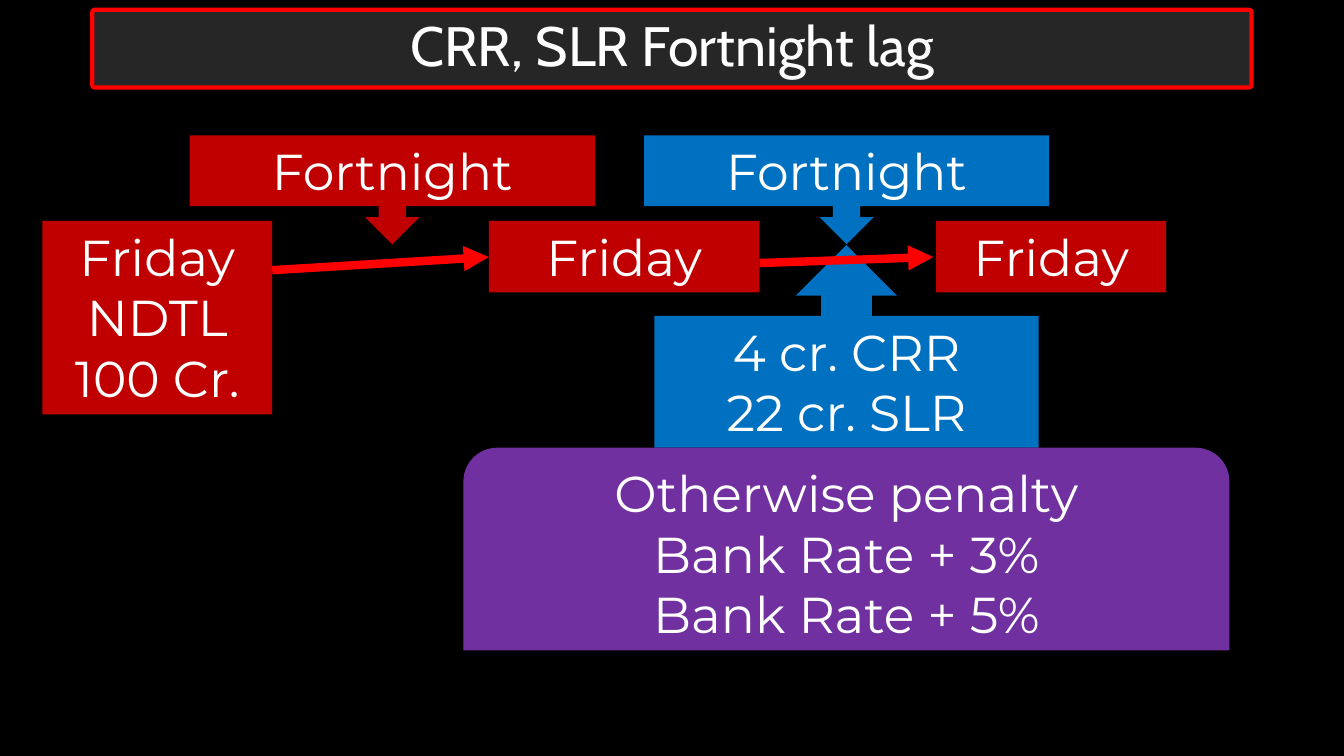
from dataclasses import dataclass

from lxml import etree
from pptx import Presentation
from pptx import util as u
from pptx.dml.color import RGBColor
from pptx.enum import shapes, text
from pptx.oxml.ns import qn

Kind = shapes.MSO_SHAPE


@dataclass(frozen=True)
class Theme:
    back: str = "000000"
    ink: str = "FFFFFF"
    bar: str = "262626"
    edge: str = "FF0000"
    red: str = "C00000"
    blue: str = "0070C0"
    plum: str = "7030A0"
    head: str = "Cabin"
    body: str = "Montserrat"
    big: float = 39.6
    norm: float = 36


class Board:
    """Holds the theme and the current slide; all lengths are points."""

    def __init__(self, deck, theme):
        self.theme = theme
        self.slide = deck.slides.add_slide(deck.slide_layouts[6])
        fill = self.slide.background.fill
        fill.solid()
        fill.fore_color.rgb = RGBColor.from_string(theme.back)

    def label(self, frame, lines, font, size):
        frame.word_wrap = True
        for i, line in enumerate(lines):
            para = frame.add_paragraph() if i else frame.paragraphs[0]
            para.alignment = text.PP_ALIGN.CENTER
            run = para.add_run()
            run.text = line
            run.font.name = font
            run.font.size = u.Pt(size)
            run.font.color.rgb = RGBColor.from_string(self.theme.ink)

    def shape(self, kind, area, fill):
        item = self.slide.shapes.add_shape(kind, *map(u.Pt, area))
        item.shadow.inherit = False
        item.fill.solid()
        item.fill.fore_color.rgb = RGBColor.from_string(fill)
        item.line.fill.background()
        return item

    def title(self, area, line):
        look = self.theme
        item = self.shape(Kind.ROUNDED_RECTANGLE, area, look.bar)
        item.adjustments[0] = 0.03
        item.line.color.rgb = RGBColor.from_string(look.edge)
        item.line.width = u.Pt(3)
        frame = item.text_frame
        frame.vertical_anchor = text.MSO_ANCHOR.MIDDLE
        self.label(frame, [line], look.head, look.big)
        frame.paragraphs[0].line_spacing = 0.9

    def box(self, kind, area, fill, *lines):
        frame = self.shape(kind, area, fill).text_frame
        frame.vertical_anchor = text.MSO_ANCHOR.TOP
        self.label(frame, lines, self.theme.body, self.theme.norm)

    def arrow(self, *ends):
        item = self.slide.shapes.add_connector(
            shapes.MSO_CONNECTOR.STRAIGHT, *map(u.Pt, ends))
        item.line.color.rgb = RGBColor.from_string(self.theme.edge)
        item.line.width = u.Pt(6)
        props = item._element.spPr
        etree.SubElement(props.find(qn("a:ln")), qn("a:tailEnd"), type="triangle")
        etree.SubElement(props, qn("a:effectLst"))


def main():
    deck = Presentation()
    deck.slide_width, deck.slide_height = u.Pt(960), u.Pt(540)
    look = Theme()
    board = Board(deck, look)

    # Title bar
    board.title((66, 7, 828, 55.5), "CRR, SLR Fortnight lag")

    # Three Fridays on the time line
    top, row = 157.8, 51.1
    board.box(Kind.RECTANGLE, (30.2, top, 164.2, 138.2), look.red,
              "Friday", "NDTL", "100 Cr.")
    for left, width in ((349.2, 193.2), (668.7, 164.2)):
        board.box(Kind.RECTANGLE, (left, top, width, row), look.red, "Friday")

    # Fortnights between them
    for left, fill in ((135.5, look.red), (460, look.blue)):
        board.box(Kind.DOWN_ARROW_CALLOUT, (left, 96.7, 289.4, 77.8), fill, "Fortnight")

    # Reserves due in the second fortnight
    board.box(Kind.UP_ARROW_CALLOUT, (467.5, 175, 274.3, 144.7), look.blue,
              "4 cr. CRR", "22 cr. SLR")

    # Arrows from Friday to Friday
    board.arrow(194.4, 193, 349.2, 183.6)
    board.arrow(542.6, 187.9, 666.7, 183.6)

    # Penalty
    board.box(Kind.ROUND_2_SAME_RECTANGLE, (331, 319.8, 547.2, 144.7), look.plum,
              "Otherwise penalty", "Bank Rate + 3%", "Bank Rate + 5%")

    deck.save("out.pptx")


if __name__ == "__main__":
    main()
